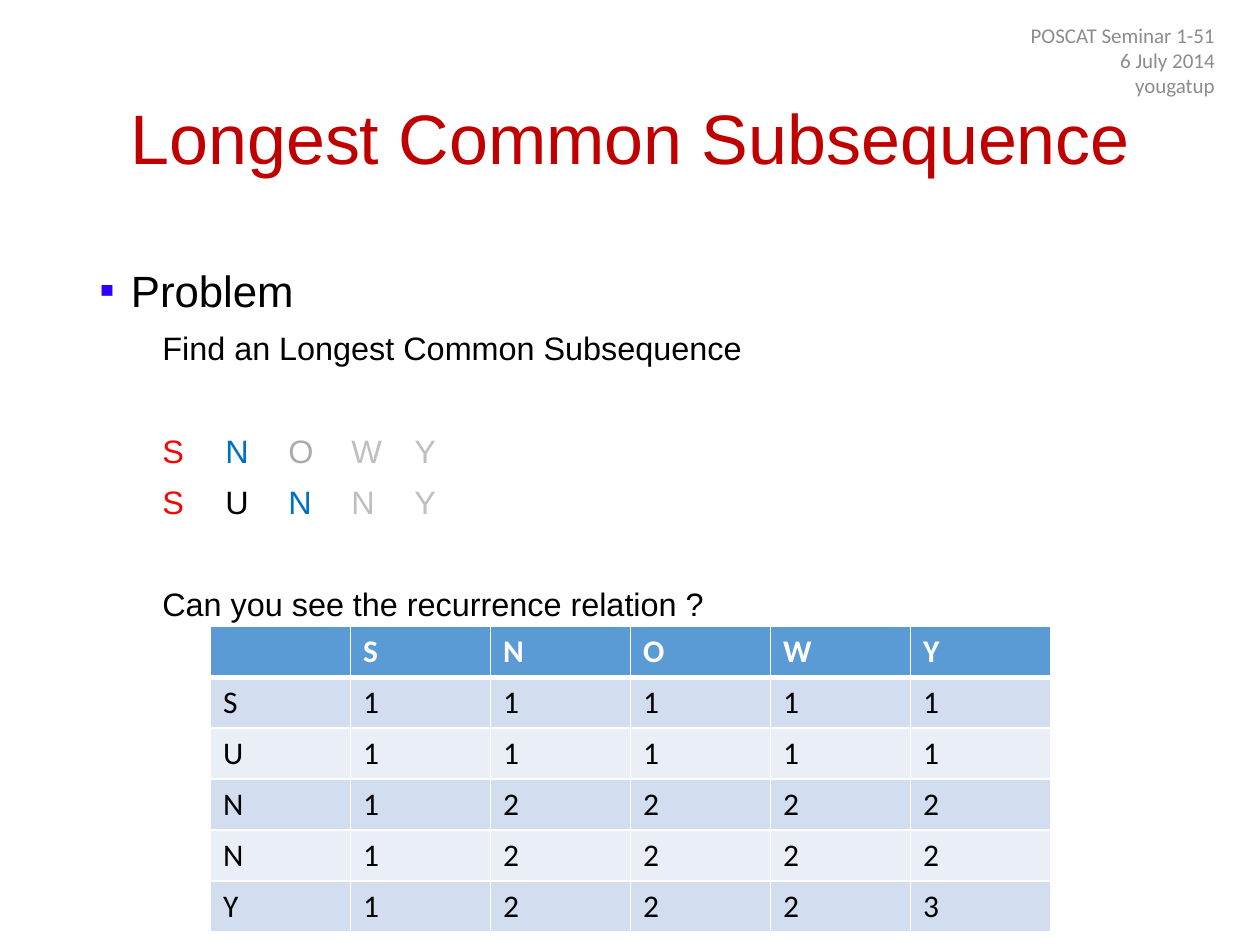
from lxml import etree
from pptx import Presentation
from pptx.dml.color import RGBColor
from pptx.enum import text
from pptx.oxml import ns
from pptx.util import Inches, Pt

TITLE = "Longest Common Subsequence"
CREDITS = ["POSCAT Seminar 1-51", "6 July 2014", "yougatup"]
HEADING = "Problem"
TASK = "Find an Longest Common Subsequence"
QUESTION = "Can you see the recurrence relation ?"
BLACK, RED, BLUE, GRAY, PALE = "000000", "FF0000", "0070C0", "AFABAB", "BFBFBF"
WORDS = [
    [("S", RED), ("N", BLUE), ("O", GRAY), ("W", PALE), ("Y", PALE)],
    [("S", RED), ("U", BLACK), ("N", BLUE), ("N", PALE), ("Y", PALE)],
]
LENGTHS = [
    ["", "S", "N", "O", "W", "Y"],
    ["S", "1", "1", "1", "1", "1"],
    ["U", "1", "1", "1", "1", "1"],
    ["N", "1", "2", "2", "2", "2"],
    ["N", "1", "2", "2", "2", "2"],
    ["Y", "1", "2", "2", "2", "3"],
]
LETTER_WIDTHS = {"S": 0.17, "N": 0.19, "U": 0.19, "O": 0.2, "W": 0.24, "Y": 0.17}
FIRST_LETTER, LETTER_GAP = 3.49, 0.21
BODY_SIZE, BODY_SPACING = 18.5, 1.1
LINE_GAP, BLOCK_GAP = 5, 34


def color(value):
    return RGBColor.from_string(value)


def style(font, name, size, value, bold=False):
    font.name, font.size, font.bold = name, Pt(size), bold
    font.color.rgb = color(value)


def add(parent, tag, **attributes):
    return etree.SubElement(parent, ns.qn(tag), attributes)


def add_box(page, left, top, width, height, anchor):
    frame = page.shapes.add_textbox(
        Inches(left), Inches(top), Inches(width), Inches(height)).text_frame
    frame.word_wrap = True
    frame.vertical_anchor = anchor
    return frame


def indent(para, left, first=0):
    props = para._p.get_or_add_pPr()
    props.set("marL", str(Inches(left)))
    props.set("indent", str(Inches(first)))
    return props


def add_line(frame, words, gap):
    para = frame.add_paragraph()
    para.text = words
    para.line_spacing = BODY_SPACING
    para.space_before = Pt(gap)
    for span in para.runs:
        style(span.font, "Arial", BODY_SIZE, BLACK)
    return para


def add_word(frame, letters, gap):
    para = add_line(frame, "", gap)
    tabs = add(indent(para, 0), "a:tabLst")
    stop = FIRST_LETTER
    for letter, value in letters:
        add(tabs, "a:tab", pos=str(Inches(stop)), algn="l")
        stop += LETTER_WIDTHS[letter] + LETTER_GAP
        span = para.add_run()
        span.text = "\t" + letter
        style(span.font, "Arial", BODY_SIZE, value)


def add_body(page):
    frame = add_box(page, 0.69, 2, 9.05, 4.76, text.MSO_ANCHOR.TOP)
    para = frame.paragraphs[0]
    para.text = HEADING
    para.line_spacing = BODY_SPACING
    props = indent(para, 0.25, -0.25)
    add(add(props, "a:buClr"), "a:srgbClr", val="3102F8")
    add(props, "a:buFont", typeface="Arial")
    add(props, "a:buChar", char="▪")
    style(para.runs[0].font, "Arial", 25, BLACK)
    indent(add_line(frame, TASK, LINE_GAP), 0.5)
    for letters, gap in zip(WORDS, (BLOCK_GAP, LINE_GAP)):
        add_word(frame, letters, gap)
    indent(add_line(frame, QUESTION, BLOCK_GAP), 0.5)


def add_borders(cell, header):
    props = cell._tc.get_or_add_tcPr()
    for side in "LRTB":
        width = 3 if header and side == "B" else 1
        line = add(props, f"a:ln{side}", w=str(Pt(width)))
        add(add(line, "a:solidFill"), "a:srgbClr", val="FFFFFF")


def add_lengths(page):
    table = page.shapes.add_table(
        len(LENGTHS), len(LENGTHS[0]),
        Inches(1.67), Inches(4.97), Inches(6.67), Inches(2.43)).table
    for row, values in enumerate(LENGTHS):
        header = row == 0
        fill = "5B9BD5" if header else ("EAEFF7", "D2DEEF")[row % 2]
        for column, value in enumerate(values):
            cell = table.cell(row, column)
            add_borders(cell, header)
            cell.fill.solid()
            cell.fill.fore_color.rgb = color(fill)
            cell.text = value
            style(cell.text_frame.paragraphs[0].font, "Calibri", 18,
                  "FFFFFF" if header else BLACK, header)


def main():
    deck = Presentation()
    deck.slide_width, deck.slide_height = Inches(10), Inches(7.5)
    page = deck.slides.add_slide(deck.slide_layouts[6])

    title = add_box(page, 0.69, 0.4, 8.62, 1.45, text.MSO_ANCHOR.MIDDLE)
    title.text = TITLE
    para = title.paragraphs[0]
    para.alignment = text.PP_ALIGN.CENTER
    para.line_spacing = 0.9
    style(para.runs[0].font, "Arial", 40, "C00000")

    add_body(page)

    credits = add_box(page, 7.49, 0.2, 2.25, 0.55, text.MSO_ANCHOR.MIDDLE)
    credits.text = "\n".join(CREDITS)
    for para in credits.paragraphs:
        para.alignment = text.PP_ALIGN.RIGHT
        style(para.runs[0].font, "Calibri", 12, "8C8C8C")

    add_lengths(page)
    deck.save("out.pptx")


if __name__ == "__main__":
    main()
